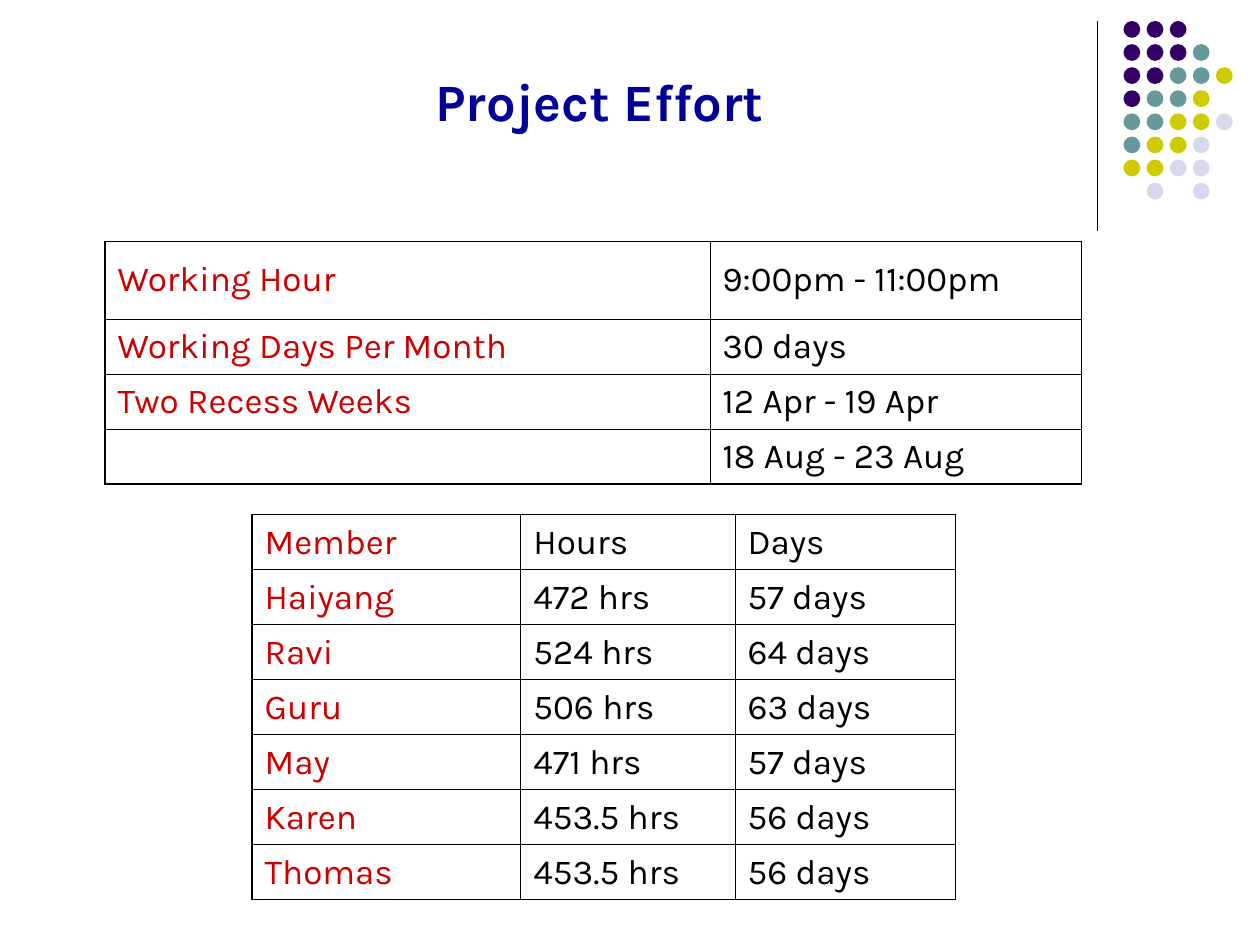
"""Build the Project Effort slide on a grid of 120 columns by 90 rows."""
import pptx
import pptx.dml.color
import pptx.enum.shapes
import pptx.enum.text
import pptx.oxml
import pptx.oxml.ns
import pptx.util

ANCHOR = pptx.enum.text.MSO_ANCHOR
FONT, BLACK, RED, BLUE = "Karla", "000000", "CC0000", "000099"
TITLE = "Project Effort"
ROW = 5.24
TABLES = [
    dict(left=10, top=23, cols=[57.6, 35.4], rows=[7.4, ROW, ROW, ROW],
         anchor=ANCHOR.MIDDLE, inner=0.23, cells=[
             ("Working Hour", "9:00pm - 11:00pm"),
             ("Working Days Per Month", "30 days"),
             ("Two Recess Weeks", "12 Apr - 19 Apr"),
             ("", "18 Aug - 23 Aug")]),
    dict(left=24, top=49, cols=[25.6, 20.4, 21], rows=[ROW] * 7,
         anchor=ANCHOR.BOTTOM, inner=0.45, cells=[
             ("Member", "Hours", "Days"),
             ("Haiyang", "472 hrs", "57 days"),
             ("Ravi", "524 hrs", "64 days"),
             ("Guru", "506 hrs", "63 days"),
             ("May", "471 hrs", "57 days"),
             ("Karen", "453.5 hrs", "56 days"),
             ("Thomas", "453.5 hrs", "56 days")]),
]
DOT_COLORS = {"P": "330066", "T": "669999", "Y": "CCCC00", "L": "D8D8EC"}
DOTS = ["PPP", "PPPT", "PPTTY", "PTTY", "TTYYL", "TYYL", "YYLL", " L L"]
DOT_LEFT, DOT_TOP, DOT_SIZE, DOT_STEP = 107, 2, 1.6, 2.2

prs = pptx.Presentation()
prs.slide_width, prs.slide_height = pptx.util.Inches(10), pptx.util.Inches(7.5)
s = prs.slides.add_slide(prs.slide_layouts[6])


def grid(*units):
    """Turn grid units into slide lengths."""
    return [round(u * prs.slide_width / 120) for u in units]


def rgb(color):
    """Return the colour of a hex string."""
    return pptx.dml.color.RGBColor.from_string(color)


def write(tf, text, size, color, bold=False):
    """Set one paragraph of text and format its run."""
    p = tf.paragraphs[0]
    p.text = text
    for r in p.runs:
        r.font.name, r.font.size, r.font.bold = FONT, pptx.util.Pt(size), bold
        r.font.color.rgb = rgb(color)
    return p


def border(cell, side, width):
    """Draw one black edge of a cell."""
    cell._tc.get_or_add_tcPr().append(pptx.oxml.parse_xml(
        f'<a:ln{side} {pptx.oxml.ns.nsdecls("a")} w="{pptx.util.Pt(width)}">'
        f'<a:solidFill><a:srgbClr val="{BLACK}"/></a:solidFill></a:ln{side}>'))


def add_table(left, top, cols, rows, anchor, inner, cells):
    """Add a ruled table with a heavier outer frame."""
    box = grid(left, top, sum(cols), sum(rows))
    table = s.shapes.add_table(len(rows), len(cols), *box).table
    table.first_row = table.horz_banding = False
    for col, width in zip(table.columns, grid(*cols)):
        col.width = width
    for row, height in zip(table.rows, grid(*rows)):
        row.height = height
    for i, line in enumerate(cells):
        for j, text in enumerate(line):
            cell = table.cell(i, j)
            cell.vertical_anchor = anchor
            p = write(cell.text_frame, text, 20, BLACK if j else RED)
            pPr = p._p.get_or_add_pPr()
            pPr.set("marL", str(pptx.util.Inches(0.38)))
            pPr.set("indent", str(pptx.util.Inches(-0.38)))
            border(cell, "L", inner if j else 1.08)
            border(cell, "R", inner if j < len(cols) - 1 else 1.08)
            border(cell, "T", 0.45 if i else 1.08)
            border(cell, "B", 0.45 if i < len(rows) - 1 else 1.08)
            cell.fill.background()


rule = s.shapes.add_connector(pptx.enum.shapes.MSO_CONNECTOR.STRAIGHT,
                              *grid(104.5, 2, 104.5, 22))
rule.line.color.rgb, rule.line.width = rgb(BLACK), pptx.util.Pt(0.75)
rule._element.spPr.append(pptx.oxml.parse_xml(
    f'<a:effectLst {pptx.oxml.ns.nsdecls("a")}/>'))

for i, line in enumerate(DOTS):
    for j, key in enumerate(line):
        if key in DOT_COLORS:
            sp = s.shapes.add_shape(
                pptx.enum.shapes.MSO_SHAPE.OVAL,
                *grid(DOT_LEFT + j * DOT_STEP, DOT_TOP + i * DOT_STEP, DOT_SIZE, DOT_SIZE))
            sp.shadow.inherit = False
            sp.fill.solid()
            sp.fill.fore_color.rgb = rgb(DOT_COLORS[key])
            sp.line.fill.background()

title = s.shapes.add_textbox(*grid(40.3, 6, 35.6, 7.2))
title.text_frame.word_wrap = False
write(title.text_frame, TITLE, 30, BLUE, bold=True)

for spec_table in TABLES:
    add_table(**spec_table)

prs.save("out.pptx")
